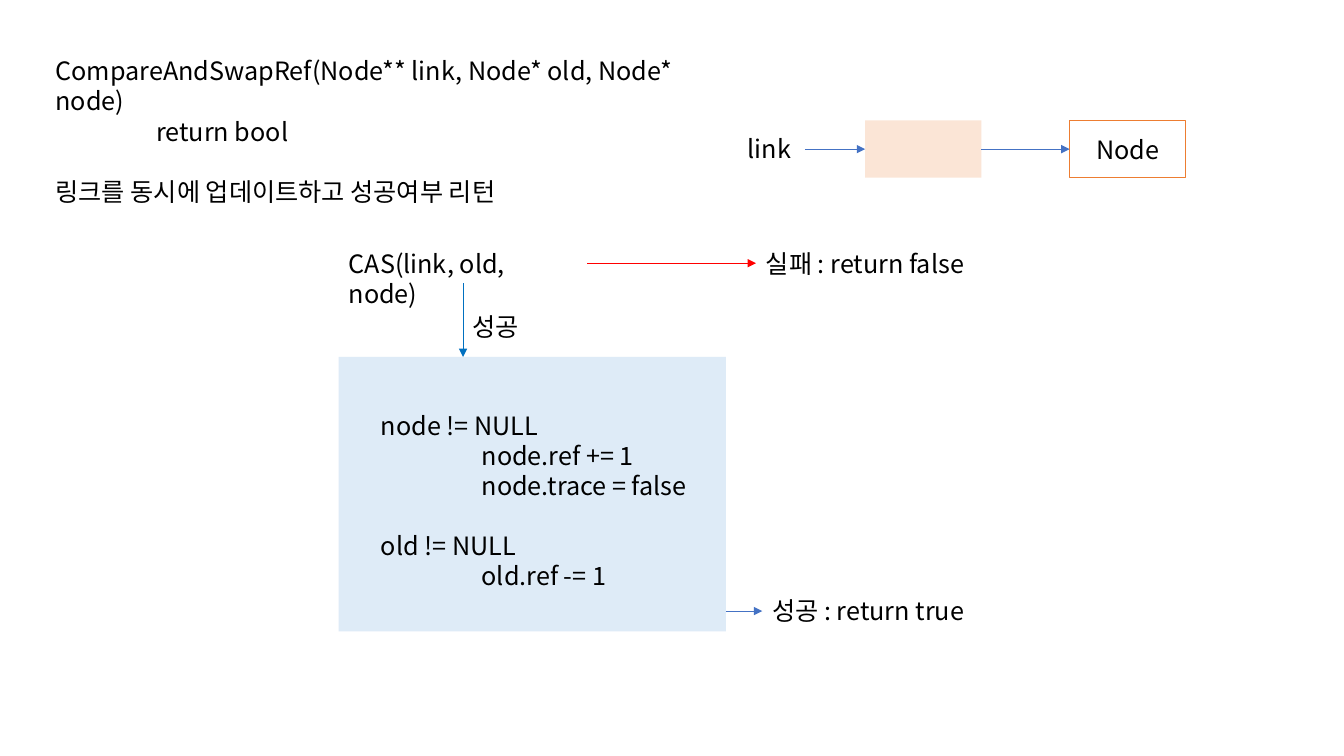
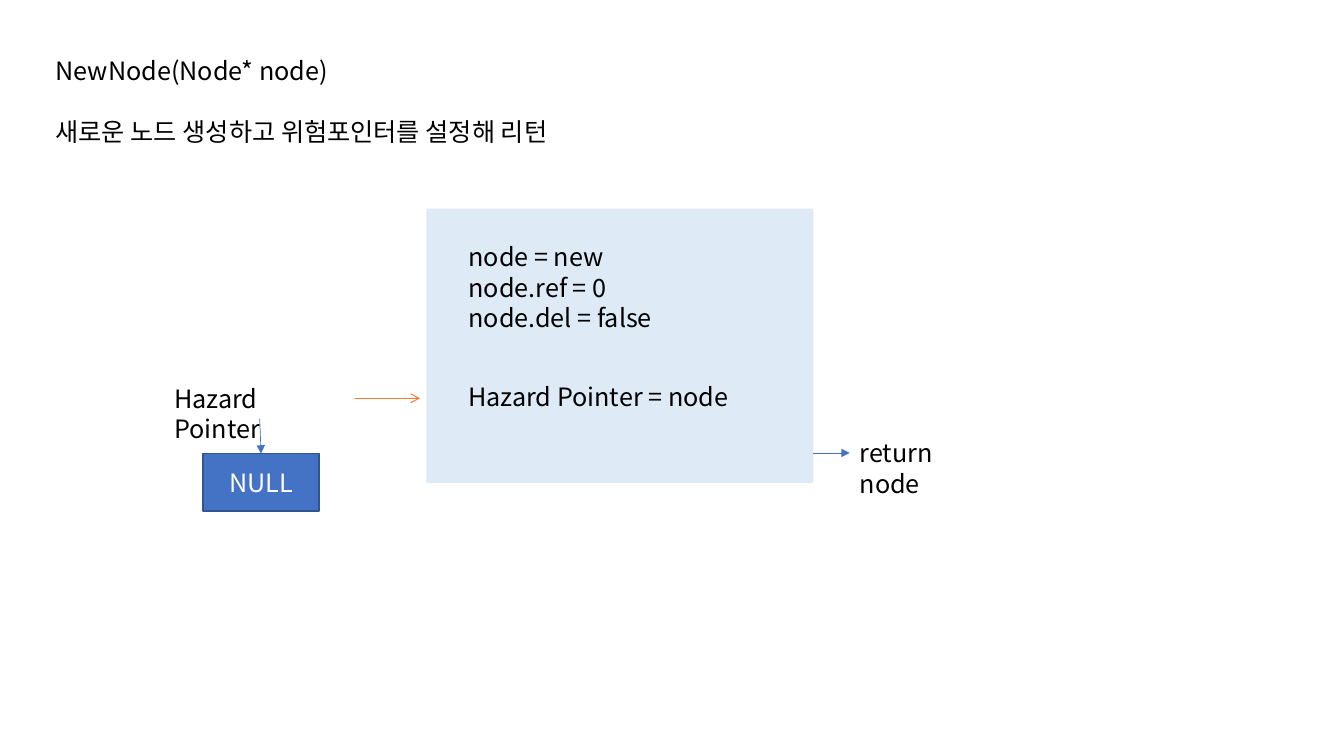
import pptx
import pptx.dml.color
import pptx.enum.shapes
import pptx.enum.text
import pptx.oxml.ns
import pptx.util
from lxml import etree

Pt = pptx.util.Pt
FONT = "Noto Sans CJK KR"
SIZE, LINE_HEIGHT, INDENT = 18, 21.6, 72
BLACK, WHITE, BLUE, ORANGE = "000000", "FFFFFF", "4472C4", "ED7D31"
PANEL, PEACH, NAVY, RED, SKY = "DEEBF7", "FBE5D6", "325491", "FF0000", "0070C0"
PANEL_SIZE = (276.5, 196)
NODE_SIZE = (83, 41)
LABEL_HEIGHT = 29
TITLE_BOX = (32.5, 36, 507.5, 43.2)
TOP, LEFT, BOTTOM, RIGHT = 0, 1, 2, 3

# Lines of text starting with a tab are indented one level; "" leaves a one-line gap.
# rects: name, left, top, size, fill, outline, text, text colour
# labels: name, left, top, width, lines
# arrows: start, end, colour, width, head; an end is a (name, side) or a point
SLIDES = [
    {
        "title": "CompareAndSwapRef(Node** link, Node* old, Node* node)",
        "summary": ["\treturn bool", "", "링크를 동시에 업데이트하고 성공여부 리턴"],
        "rects": [
            ("panel", 242, 255, PANEL_SIZE, PANEL, None, "", BLACK),
            ("slot", 618, 86, NODE_SIZE, PEACH, None, "", BLACK),
            ("node", 764, 86, NODE_SIZE, None, ORANGE, "Node", BLACK),
        ],
        "labels": [
            ("cas", 242, 173.5, 177.5, ["CAS(link, old, node)"]),
            ("failure", 540, 173.5, 165, ["실패 : return false"]),
            ("success", 330.5, 219, 51, ["성공"]),
            ("new node", 265, 289.5, 237,
             ["node != NULL", "\tnode.ref += 1", "\tnode.trace = false"]),
            ("old node", 265, 375, 182, ["old != NULL", "\told.ref -= 1"]),
            ("result", 544.5, 422, 157, ["성공 : return true"]),
            ("link", 527, 92, 48, ["link"]),
        ],
        "arrows": [
            (("cas", RIGHT), ("failure", LEFT), RED, 0.5, "triangle"),
            (("cas", BOTTOM), (330.75, 255), SKY, 0.5, "triangle"),
            ((518.5, 436.5), ("result", LEFT), BLUE, 0.5, "triangle"),
            (("link", RIGHT), ("slot", LEFT), BLUE, 0.5, "triangle"),
            (("slot", RIGHT), ("node", LEFT), BLUE, 0.5, "triangle"),
        ],
    },
    {
        "title": "NewNode(Node* node)",
        "summary": ["새로운 노드 생성하고 위험포인터를 설정해 리턴"],
        "rects": [
            ("panel", 304.5, 149, PANEL_SIZE, PANEL, None, "", BLACK),
            ("null", 145, 324, NODE_SIZE, BLUE, NAVY, "NULL", WHITE),
        ],
        "labels": [
            ("creation", 327.5, 169, 148.5,
             ["node = new", "node.ref = 0", "node.del = false"]),
            ("assignment", 327.5, 268.5, 204, ["Hazard Pointer = node"]),
            ("hazard", 117.5, 270, 136, ["Hazard Pointer"]),
            ("result", 607, 309, 112.5, ["return node"]),
        ],
        "arrows": [
            (("hazard", BOTTOM), ("null", TOP), BLUE, 0.5, "triangle"),
            (("hazard", RIGHT), (300, 284.5), ORANGE, 0.75, "arrow"),
            ((581, 323.5), ("result", LEFT), BLUE, 0.5, "triangle"),
        ],
    },
]


def rgb(value):
    return pptx.dml.color.RGBColor.from_string(value)


def add_xml(parent, tag, **attributes):
    return etree.SubElement(parent, pptx.oxml.ns.qn(tag), **attributes)


def write(shape, lines, color=BLACK, centered=False):
    frame = shape.text_frame
    frame.word_wrap = True
    frame.auto_size = pptx.enum.text.MSO_AUTO_SIZE.NONE
    align = pptx.enum.text.PP_ALIGN
    gap = 0
    para = frame.paragraphs[0]
    for number, line in enumerate(lines):
        if not line:
            gap = LINE_HEIGHT
            continue
        if number:
            para = frame.add_paragraph()
        para.text = line.lstrip("\t")
        para.alignment = align.CENTER if centered else align.LEFT
        para.line_spacing = Pt(LINE_HEIGHT)
        para.space_before = Pt(gap)
        gap = 0
        if line.startswith("\t"):
            para._p.get_or_add_pPr().set("marL", str(Pt(INDENT)))
        font = para.font
        font.name, font.size = FONT, Pt(SIZE)
        font.color.rgb = rgb(color)
        add_xml(font._element, "a:ea", typeface=FONT)


def add_title(page, text):
    title = page.shapes.title
    title.left, title.top, title.width, title.height = map(Pt, TITLE_BOX)
    title.text_frame.vertical_anchor = pptx.enum.text.MSO_ANCHOR.TOP
    write(title, [text])


def add_label(page, left, top, width, lines):
    height = LABEL_HEIGHT + (len(lines) - 1) * LINE_HEIGHT
    box = page.shapes.add_textbox(*map(Pt, (left, top, width, height)))
    write(box, lines)
    return box


def add_rect(page, left, top, size, fill, outline, text, color):
    kind = pptx.enum.shapes.MSO_SHAPE.RECTANGLE
    rect = page.shapes.add_shape(kind, *map(Pt, (left, top, *size)))
    rect.shadow.inherit = False
    if fill:
        rect.fill.solid()
        rect.fill.fore_color.rgb = rgb(fill)
    else:
        rect.fill.background()
    if outline:
        rect.line.color.rgb = rgb(outline)
        rect.line.width = Pt(1)
    else:
        rect.line.fill.background()
    if text:
        write(rect, [text], color, centered=True)
    return rect


def add_arrow(page, shapes, start, end, color, width, head):
    points = [(0, 0) if point[0] in shapes else point for point in (start, end)]
    kind = pptx.enum.shapes.MSO_CONNECTOR.STRAIGHT
    arrow = page.shapes.add_connector(kind, *(Pt(v) for point in points for v in point))
    for (target, side), connect in ((start, arrow.begin_connect), (end, arrow.end_connect)):
        if target in shapes:
            connect(shapes[target], side)
    arrow.line.color.rgb = rgb(color)
    arrow.line.width = Pt(width)
    add_xml(arrow.line._get_or_add_ln(), "a:tailEnd", type=head)
    add_xml(arrow._element.spPr, "a:effectLst")


def main():
    deck = pptx.Presentation()
    deck.slide_width, deck.slide_height = Pt(960), Pt(540)
    title_only = deck.slide_layouts[5]
    left, top, width, height = TITLE_BOX
    for content in SLIDES:
        page = deck.slides.add_slide(title_only)
        add_title(page, content["title"])
        add_label(page, left, top + height, width, content["summary"])
        shapes = {}
        for name, *details in content["rects"]:
            shapes[name] = add_rect(page, *details)
        for name, *details in content["labels"]:
            shapes[name] = add_label(page, *details)
        for arrow in content["arrows"]:
            add_arrow(page, shapes, *arrow)
    deck.save("out.pptx")


if __name__ == "__main__":
    main()
